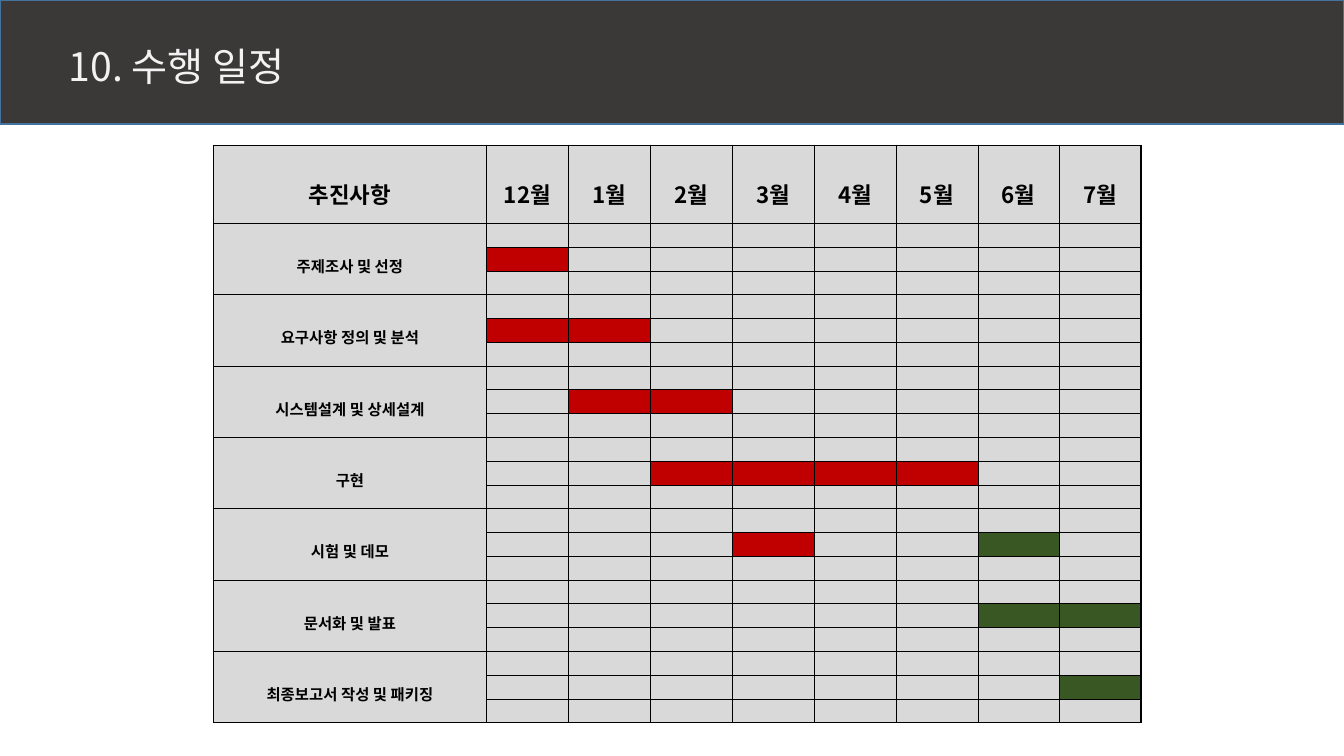
from lxml import etree
from pptx import Presentation
from pptx.dml.color import RGBColor
from pptx.enum.shapes import MSO_SHAPE
from pptx.enum.text import MSO_ANCHOR, MSO_AUTO_SIZE, PP_ALIGN
from pptx.oxml.ns import qn
from pptx.util import Emu, Pt

RECTANGLE = MSO_SHAPE.RECTANGLE
BOTTOM, MIDDLE = MSO_ANCHOR.BOTTOM, MSO_ANCHOR.MIDDLE
LEFT, CENTER = PP_ALIGN.LEFT, PP_ALIGN.CENTER
NO_AUTOFIT = MSO_AUTO_SIZE.NONE

EMU_PER_PX = 6350
SLIDE_SIZE = (1920, 1080)
TITLE_ONLY_LAYOUT = 5
FONT = "Noto Sans CJK KR"
BLACK, GRAY, RED, GREEN = "000000", "D9D9D9", "C00000", "385723"

MONTHS = ["12월", "1월", "2월", "3월", "4월", "5월", "6월", "7월"]
# Each task lists its bars as (first month, last month, colour).
TASKS = [
    ("주제조사 및 선정", [("12월", "12월", RED)]),
    ("요구사항 정의 및 분석", [("12월", "1월", RED)]),
    ("시스템설계 및 상세설계", [("1월", "2월", RED)]),
    ("구현", [("2월", "5월", RED)]),
    ("시험 및 데모", [("3월", "3월", RED), ("6월", "6월", GREEN)]),
    ("문서화 및 발표", [("6월", "7월", GREEN)]),
    ("최종보고서 작성 및 패키징", [("7월", "7월", GREEN)]),
]
ROWS_PER_TASK = 3
LABEL_WIDTH, MONTH_WIDTH = 390, 117
HEADER_HEIGHT, ROW_HEIGHT = 112, 34
CELL_MARGIN = 3
THIN, THICK = 0.28, 1.7


def px(length):
    return Emu(length * EMU_PER_PX)


def color(hex_string):
    return RGBColor.from_string(hex_string)


class ScheduleSlide:
    def __init__(self, presentation):
        layout = presentation.slide_layouts[TITLE_ONLY_LAYOUT]
        self.slide = presentation.slides.add_slide(layout)

    def format_text(self, paragraph, size, text_color, bold, alignment, spacing):
        paragraph.alignment = alignment
        paragraph.line_spacing = spacing
        for run in paragraph.runs:
            run.font.name = FONT
            run.font.size = Pt(size)
            run.font.bold = bold
            run.font.color.rgb = color(text_color)
            east_asian = etree.SubElement(run.font._element, qn("a:ea"))
            east_asian.set("typeface", FONT)

    def band(self, left, top, width, height, fill, line):
        band = self.slide.shapes.add_shape(
            RECTANGLE, px(left), px(top), px(width), px(height))
        band.shadow.inherit = False
        band.fill.solid()
        band.fill.fore_color.rgb = color(fill)
        band.line.color.rgb = color(line)
        band.line.width = Pt(1)

    def title(self, text, left, top, width, height):
        """Fill the title placeholder and bring it in front of the band."""
        title = self.slide.shapes.title
        title.left, title.top = px(left), px(top)
        title.width, title.height = px(width), px(height)
        frame = title.text_frame
        frame.text = text
        frame.auto_size = NO_AUTOFIT
        frame.vertical_anchor = BOTTOM
        self.format_text(frame.paragraphs[0], 28, "F2F2F2", False, LEFT, 0.9)
        self.slide.shapes._spTree.append(title._element)

    def table(self, left, top, column_widths, row_heights):
        table = self.slide.shapes.add_table(
            len(row_heights), len(column_widths), px(left), px(top),
            px(sum(column_widths)), px(sum(row_heights))).table
        table.first_row = table.horz_banding = False
        for column, width in zip(table.columns, column_widths):
            column.width = px(width)
        for row, height in zip(table.rows, row_heights):
            row.height = px(height)
            for cell in row.cells:
                self.empty_cell(cell)
            self.border(row.cells[len(column_widths) - 1], "R", THICK)
        return table

    def empty_cell(self, cell):
        """Give a cell its fill, borders and a text size that fits a low row."""
        cell.margin_left = cell.margin_right = px(CELL_MARGIN)
        cell.margin_top = cell.margin_bottom = px(CELL_MARGIN)
        cell.vertical_anchor = MIDDLE
        for side in "LRTB":
            self.border(cell, side, THIN)
        self.fill_cell(cell, GRAY)
        paragraph = cell.text_frame.paragraphs[0]._p
        etree.SubElement(paragraph, qn("a:endParaRPr")).set("sz", "800")

    def border(self, cell, side, width):
        properties = cell._tc.get_or_add_tcPr()
        line = properties.find(qn("a:ln" + side))
        if line is None:
            line = etree.SubElement(properties, qn("a:ln" + side))
            fill = etree.SubElement(line, qn("a:solidFill"))
            etree.SubElement(fill, qn("a:srgbClr")).set("val", BLACK)
        line.set("w", str(Pt(width)))

    def fill_cell(self, cell, fill):
        cell.fill.solid()
        cell.fill.fore_color.rgb = color(fill)

    def label(self, cell, text, size):
        cell.text_frame.text = text
        self.format_text(
            cell.text_frame.paragraphs[0], size, BLACK, True, CENTER, 1.6)

    def schedule(self, left, top):
        table = self.table(
            left, top,
            [LABEL_WIDTH] + [MONTH_WIDTH] * len(MONTHS),
            [HEADER_HEIGHT] + [ROW_HEIGHT] * ROWS_PER_TASK * len(TASKS))
        for column, heading in enumerate(["추진사항"] + MONTHS):
            self.label(table.cell(0, column), heading, 16)
        for index, (task, bars) in enumerate(TASKS):
            first_row = 1 + index * ROWS_PER_TASK
            last_row = first_row + ROWS_PER_TASK - 1
            task_cell = table.cell(first_row, 0)
            task_cell.merge(table.cell(last_row, 0))
            self.label(task_cell, task, 11)
            for start, end, fill in bars:
                for month in range(MONTHS.index(start), MONTHS.index(end) + 1):
                    self.fill_cell(table.cell(first_row + 1, month + 1), fill)


def main():
    presentation = Presentation()
    presentation.slide_width, presentation.slide_height = map(px, SLIDE_SIZE)
    slide = ScheduleSlide(presentation)
    slide.band(0, 0, SLIDE_SIZE[0], 177, "3B3838", "43739E")
    slide.title("10. 수행 일정", 84, 45, 909, 91)
    slide.schedule(305, 207)
    presentation.save("out.pptx")


if __name__ == "__main__":
    main()
